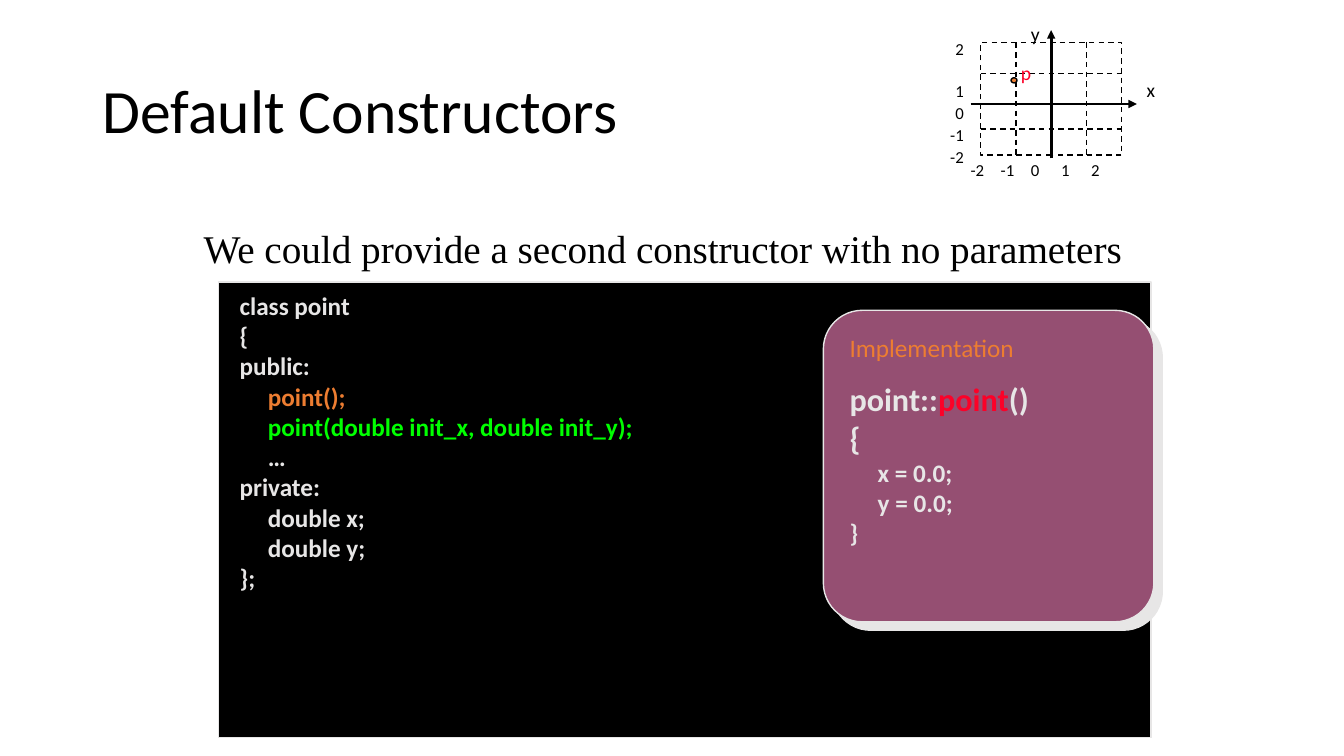
from dataclasses import dataclass

from lxml import etree
from pptx import Presentation
from pptx.dml.color import RGBColor
from pptx.enum.dml import MSO_LINE
from pptx.enum.shapes import MSO_CONNECTOR, MSO_SHAPE
from pptx.enum.text import MSO_ANCHOR, PP_ALIGN
from pptx.oxml.ns import qn
from pptx.util import Cm, Pt

DASH = MSO_LINE.DASH
STRAIGHT = MSO_CONNECTOR.STRAIGHT
RECTANGLE, ROUNDED, OVAL = MSO_SHAPE.RECTANGLE, MSO_SHAPE.ROUNDED_RECTANGLE, MSO_SHAPE.OVAL
MIDDLE, TOP = MSO_ANCHOR.MIDDLE, MSO_ANCHOR.TOP
RIGHT = PP_ALIGN.RIGHT


@dataclass(frozen=True)
class Theme:
    """Fonts, colours and type sizes of the slide."""
    sans: str = "Calibri"
    serif: str = "Times New Roman"
    black: str = "000000"
    white: str = "FFFFFF"
    pale: str = "E7E6E6"
    orange: str = "ED7D31"
    green: str = "00FF00"
    red: str = "FC0128"
    plum: str = "954F72"
    title: int = 44
    intro: int = 28
    heading: int = 23
    code: int = 18
    axis: int = 14
    tick: int = 12


THEME = Theme()

# Content: a line of code is (indent level, size, space before in points, spans);
# a span is (text, colour, bold).
TITLE = "Default Constructors"
INTRO = "We could provide a second constructor with no parameters"


def plain(text, level=0, color=THEME.pale, size=THEME.code, before=0, bold=True):
    """Return a code line made of one span."""
    return level, size, before, [(text, color, bold)]


CLASS_CODE = [
    plain("class point"),
    plain("{"),
    plain("public:"),
    plain("point();", 1, THEME.orange),
    plain("point(double init_x, double init_y);", 1, THEME.green),
    plain("…", 1),
    plain("private:"),
    plain("double x;", 1),
    plain("double y;", 1),
    plain("};"),
]
IMPLEMENTATION = [
    plain("Implementation", color=THEME.orange, bold=False),
    (0, THEME.heading, 12, [("point::", THEME.pale, True), ("point", THEME.red, True),
                            ("()", THEME.pale, True)]),
    plain("{", size=THEME.heading),
    plain("x = 0.0;", 1),
    plain("y = 0.0;", 1),
    plain("}"),
]
X_TICKS = ["-2", "-1", "0", "1", "2"]
Y_TICKS = X_TICKS[::-1]
AXIS_LABELS = [("x", 28.65, 1.85, THEME.black), ("y", 25.73, 0.43, THEME.black),
               ("p", 25.48, 1.4, THEME.red)]

# Layout in centimetres
INDENT = 0.71
TICK_STEP = 0.76
GRID = (24.71, 1.07, 3.56, 2.84)
X_AXIS = (24.46, 2.62, 28.65, 2.62)
Y_AXIS = (26.49, 3.99, 26.49, 0.76)
GRID_ROWS = (1.85, 3.25)


def rgb(color):
    """Turn a hex string into a colour."""
    return RGBColor.from_string(color)


def add_box(page, left, top, width, height, anchor=TOP):
    """Add an empty wrapping text box and return its text frame."""
    frame = page.shapes.add_textbox(Cm(left), Cm(top), Cm(width), Cm(height)).text_frame
    frame.word_wrap = True
    frame.vertical_anchor = anchor
    return frame


def add_span(para, text, size, color=THEME.black, bold=False, font=THEME.sans):
    """Add one run of text to a paragraph."""
    span = para.add_run()
    span.text = text
    span.font.name, span.font.size, span.font.bold = font, Pt(size), bold
    span.font.color.rgb = rgb(color)


def paragraphs(frame, items):
    """Yield a paragraph for each item, using the frame's first one."""
    for index, item in enumerate(items):
        yield (frame.add_paragraph() if index else frame.paragraphs[0]), item


def add_code(page, place, lines):
    """Write indented lines of code into a text box."""
    for para, (level, size, before, spans) in paragraphs(add_box(page, *place), lines):
        para.space_before = Pt(before)
        para._p.get_or_add_pPr().set("marL", str(Cm(INDENT * level)))
        for text, color, bold in spans:
            add_span(para, text, size, color, bold)


def add_panel(page, kind, place, fill, line):
    """Add a filled, outlined shape without shadow."""
    panel = page.shapes.add_shape(kind, *map(Cm, place))
    panel.shadow.inherit = False
    panel.fill.solid()
    panel.fill.fore_color.rgb = rgb(fill)
    panel.line.color.rgb = rgb(line)
    panel.line.width = Pt(1)
    return panel


def add_line(page, ends, width, arrow=False):
    """Add a solid axis with an arrowhead, or a dashed grid line."""
    line = page.shapes.add_connector(STRAIGHT, *map(Cm, ends))
    line.line.color.rgb = rgb(THEME.black)
    line.line.width = Pt(width)
    if arrow:
        etree.SubElement(line.line._get_or_add_ln(), qn("a:tailEnd"), type="triangle")
    else:
        line.line.dash_style = DASH
    etree.SubElement(line._element.spPr, qn("a:effectLst"))


def add_hard_shadow(shape, color):
    """Give a shape a sharp shadow towards the lower right."""
    effects = shape._element.spPr.find(qn("a:effectLst"))
    shadow = etree.SubElement(effects, qn("a:outerShdw"), dist=str(Pt(8.5)),
                              dir="2700000", algn="ctr", rotWithShape="0")
    etree.SubElement(shadow, qn("a:srgbClr"), val=color)


def add_ticks(page):
    """Write the numbers along both axes."""
    para = add_box(page, 24.21, 3.91, 4.93, 0.76).paragraphs[0]
    stops = etree.SubElement(para._p.get_or_add_pPr(), qn("a:tabLst"))
    for index in range(1, len(X_TICKS)):
        etree.SubElement(stops, qn("a:tab"), pos=str(Cm(TICK_STEP * index)), algn="l")
    add_span(para, "\t".join(X_TICKS), THEME.tick)

    frame = add_box(page, 23.52, 0.86, 1.02, 3)
    for para, text in paragraphs(frame, Y_TICKS):
        para.alignment = RIGHT
        para.space_before = Pt(1.2)
        add_span(para, text, THEME.tick)
    frame.paragraphs[0].space_after = Pt(14.4)


def add_plot(page):
    """Draw the small coordinate system with the point p."""
    left, top, width, height = GRID
    add_panel(page, RECTANGLE, GRID, THEME.white, THEME.black).line.dash_style = DASH
    add_line(page, X_AXIS, 2, arrow=True)
    add_line(page, Y_AXIS, 2, arrow=True)
    for row in GRID_ROWS:
        add_line(page, (left, row, left + width, row), 1)
    for quarter in (1, 3):
        column = left + width * quarter / 4
        add_line(page, (column, top, column, top + height), 1)
    add_ticks(page)
    add_panel(page, OVAL, (25.48, 1.96, 0.15, 0.13), THEME.orange, THEME.black)
    for text, x, y, color in AXIS_LABELS:
        add_span(add_box(page, x, y, 0.9, 0.84).paragraphs[0], text, THEME.axis, color)


deck = Presentation()
deck.slide_width, deck.slide_height = Cm(33.87), Cm(19.05)
page = deck.slides.add_slide(deck.slide_layouts[6])

heading = add_box(page, 2.34, 1.02, 29.21, 3.68, MIDDLE).paragraphs[0]
heading.line_spacing = 0.9
add_span(heading, TITLE, THEME.title)
add_panel(page, RECTANGLE, (5.51, 7.11, 23.5, 11.48), THEME.black, THEME.pale)
add_code(page, (5.79, 7.19, 23.11, 7.95), CLASS_CODE)
intro = add_box(page, 4.88, 5.54, 24.13, 1.42).paragraphs[0]
add_span(intro, INTRO, THEME.intro, font=THEME.serif)
add_plot(page)
card = add_panel(page, ROUNDED, (20.75, 7.82, 8.33, 7.85), THEME.plum, THEME.pale)
card.adjustments[0] = 0.125
add_hard_shadow(card, THEME.pale)
add_code(page, (21.16, 8.26, 8, 5.79), IMPLEMENTATION)

deck.save("out.pptx")
